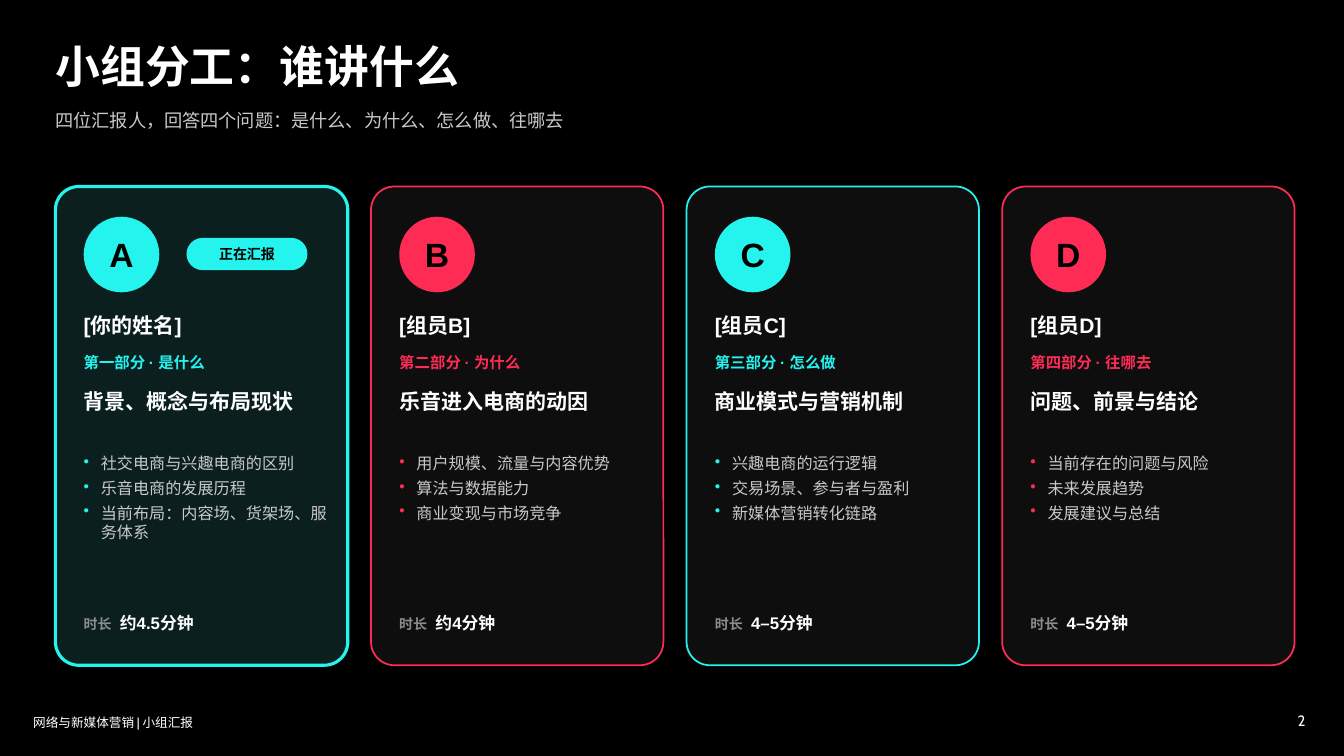
from lxml import etree
from pptx import Presentation
from pptx import util as u
from pptx.dml.color import RGBColor
from pptx.enum import shapes, text
from pptx.oxml import ns

BLACK = RGBColor(0x00, 0x00, 0x00)
WHITE = RGBColor(0xFF, 0xFF, 0xFF)
LIGHT_GREY = RGBColor(0xC9, 0xC9, 0xC9)
MID_GREY = RGBColor(0x8C, 0x8C, 0x8C)
CYAN = RGBColor(0x25, 0xF4, 0xEE)
RED = RGBColor(0xFE, 0x2C, 0x55)
CARD = RGBColor(0x0E, 0x0E, 0x0E)
ACTIVE_CARD = RGBColor(0x0B, 0x1F, 0x1F)

CARD_LEFT, CARD_STEP, PADDING = 0.55, 3.13, 0.28

SPEAKERS = [
    ("A", "[你的姓名]", "第一部分 · 是什么", "背景、概念与布局现状",
     ["社交电商与兴趣电商的区别", "乐音电商的发展历程", "当前布局：内容场、货架场、服务体系"], "约4.5分钟"),
    ("B", "[组员B]", "第二部分 · 为什么", "乐音进入电商的动因",
     ["用户规模、流量与内容优势", "算法与数据能力", "商业变现与市场竞争"], "约4分钟"),
    ("C", "[组员C]", "第三部分 · 怎么做", "商业模式与营销机制",
     ["兴趣电商的运行逻辑", "交易场景、参与者与盈利", "新媒体营销转化链路"], "4–5分钟"),
    ("D", "[组员D]", "第四部分 · 往哪去", "问题、前景与结论",
     ["当前存在的问题与风险", "未来发展趋势", "发展建议与总结"], "4–5分钟"),
]


class Deck:
    """Holds the text style and the slide being built."""

    def __init__(self, slide, font="Arial"):
        self.slide = slide
        self.font = font

    def run(self, paragraph, words, size, color, bold=False, font=None):
        run = paragraph.add_run()
        run.text = words
        run.font.size = u.Pt(size)
        run.font.color.rgb = color
        run.font.bold = bold
        run.font.name = font or self.font
        return run

    def frame(self, shape, wrap=True, side=0):
        frame = shape.text_frame
        frame.margin_left = frame.margin_right = u.Inches(side)
        frame.margin_top = frame.margin_bottom = 0
        frame.word_wrap = wrap
        return frame

    def box(self, left, top, width, height, wrap=True):
        shape = self.slide.shapes.add_textbox(*map(u.Inches, (left, top, width, height)))
        frame = self.frame(shape, wrap)
        frame.auto_size = text.MSO_AUTO_SIZE.SHAPE_TO_FIT_TEXT
        return frame

    def label(self, area, words, size, color, bold=False):
        self.run(self.box(*area).paragraphs[0], words, size, color, bold)

    def footer(self, area, words, size, inset, wrap=True):
        frame = self.box(*area, wrap=wrap)
        frame.margin_left = u.Inches(inset)
        frame.margin_top = u.Inches(0.01)
        return self.run(frame.paragraphs[0], words, size, WHITE, font="Cabin")

    def shape(self, kind, area, fill, radius=None, line=None, line_width=0):
        shape = self.slide.shapes.add_shape(kind, *map(u.Inches, area))
        shape.shadow.inherit = False
        shape.fill.solid()
        shape.fill.fore_color.rgb = fill
        if radius is not None:
            shape.adjustments[0] = radius
        if line is None:
            shape.line.fill.background()
        else:
            shape.line.color.rgb = line
            shape.line.width = u.Pt(line_width)
        return shape

    def badge(self, kind, area, fill, words, size, radius=None, wrap=True, side=0):
        frame = self.frame(self.shape(kind, area, fill, radius), wrap, side)
        frame.vertical_anchor = text.MSO_ANCHOR.MIDDLE
        paragraph = frame.paragraphs[0]
        paragraph.alignment = text.PP_ALIGN.CENTER
        self.run(paragraph, words, size, BLACK, True)

    def bullets(self, area, items, color):
        frame = self.box(*area)
        for index, item in enumerate(items):
            paragraph = frame.add_paragraph() if index else frame.paragraphs[0]
            paragraph.space_after = u.Pt(4)
            properties = paragraph._p.get_or_add_pPr()
            properties.set("marL", str(u.Inches(0.17)))
            properties.set("indent", str(-u.Inches(0.17)))
            bullet_color = etree.SubElement(properties, ns.qn("a:buClr"))
            etree.SubElement(bullet_color, ns.qn("a:srgbClr"), val=str(color))
            etree.SubElement(properties, ns.qn("a:buChar"), char="•")
            self.run(paragraph, item, 11.5, LIGHT_GREY)

    def duration(self, area, words):
        paragraph = self.box(*area).paragraphs[0]
        tabs = etree.SubElement(paragraph._p.get_or_add_pPr(), ns.qn("a:tabLst"))
        etree.SubElement(tabs, ns.qn("a:tab"), pos=str(u.Inches(0.36)), algn="l")
        self.run(paragraph, "时长\t", 10, MID_GREY, True)
        self.run(paragraph, words, 12, WHITE, True)

    def card(self, index, speaker):
        letter, name, part, topic, points, minutes = speaker
        active = index == 0
        color = RED if index % 2 else CYAN
        left = CARD_LEFT + index * CARD_STEP
        inner = left + PADDING
        rounded = shapes.MSO_SHAPE.ROUNDED_RECTANGLE
        self.shape(rounded, (left, 1.85, 2.9, 4.75), ACTIVE_CARD if active else CARD,
                   0.08, color, 2.25 if active else 1.25)
        self.badge(shapes.MSO_SHAPE.OVAL, (inner, 2.15, 0.75, 0.75), color, letter, 24)
        if active:
            self.badge(rounded, (left + 1.3, 2.36, 1.2, 0.32), color, "正在汇报", 10,
                       radius=0.5, wrap=False, side=0.08)
        self.label((inner, 3.1, 2.4, 0.35), name, 15, WHITE, True)
        self.label((inner, 3.5, 2.4, 0.3), part, 11, color, True)
        self.label((inner, 3.85, 2.45, 0.6), topic, 15, WHITE, True)
        self.bullets((inner, 4.5, 2.45, 1.45), points, color)
        self.duration((inner, 6.08, 2.4, 0.3), minutes)


def main():
    presentation = Presentation()
    presentation.slide_width = u.Inches(13.33)
    presentation.slide_height = u.Inches(7.5)
    slide = presentation.slides.add_slide(presentation.slide_layouts[6])
    slide.background.fill.solid()
    slide.background.fill.fore_color.rgb = BLACK

    deck = Deck(slide)
    deck.footer((0.32, 7.08, 4.2, 0.3), "网络与新媒体营销 | 小组汇报", 9, 0.01, wrap=False)
    number = deck.footer((12.83, 7.05, 0.26, 0.19), "2", 10.7, 0.04)
    number.font._element.set("spc", "-50")
    deck.label((0.55, 0.38, 12.2, 0.7), "小组分工：谁讲什么", 32, WHITE, True)
    deck.label((0.55, 1.08, 12.2, 0.4),
               "四位汇报人，回答四个问题：是什么、为什么、怎么做、往哪去", 13, LIGHT_GREY)
    for index, speaker in enumerate(SPEAKERS):
        deck.card(index, speaker)
    presentation.save("out.pptx")


if __name__ == "__main__":
    main()
